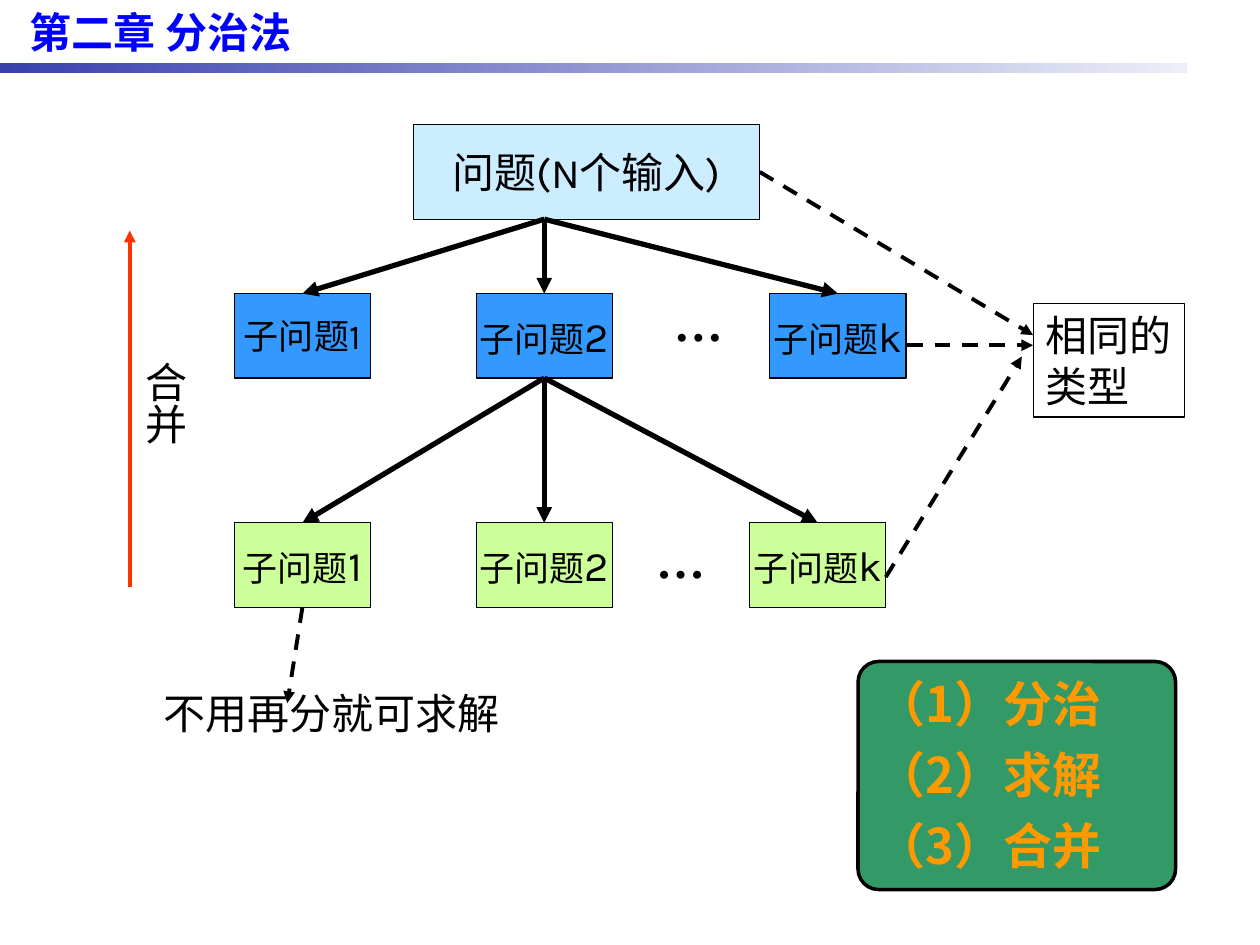
from lxml import etree
from pptx import Presentation
from pptx import util as u
from pptx.dml.color import RGBColor
from pptx.enum import dml, shapes, text
from pptx.oxml.ns import qn

BLACK = RGBColor(0x00, 0x00, 0x00)
TITLE_BLUE = RGBColor(0x00, 0x00, 0xFF)
BAR_START = RGBColor(0x38, 0x40, 0xAC)
BAR_END = RGBColor(0xED, 0xEE, 0xF8)
PALE_BLUE = RGBColor(0xCC, 0xEC, 0xFF)
BLUE = RGBColor(0x33, 0x99, 0xFF)
LIME = RGBColor(0xCC, 0xFF, 0x99)
GREEN = RGBColor(0x33, 0x99, 0x66)
ORANGE = RGBColor(0xFF, 0x99, 0x00)
RED = RGBColor(0xFF, 0x33, 0x00)

BODY = "Karla"
SERIF = "Times New Roman"
CHINESE = "Noto Sans CJK SC"
TOP, LEFT, BOTTOM, RIGHT = range(4)
CENTER = text.PP_ALIGN.CENTER


class Diagram:
    """Holds the style and the current slide."""

    def __init__(self, slide):
        self.slide = slide

    def add_text(self, shape, lines, size=24, font=BODY, color=BLACK, bold=False,
                 align=text.PP_ALIGN.LEFT, anchor=text.MSO_ANCHOR.TOP, wrap=False):
        """Each line is a list of runs; a run is its wording or (wording, size)."""
        frame = shape.text_frame
        frame.word_wrap = wrap
        frame.auto_size = text.MSO_AUTO_SIZE.NONE
        frame.vertical_anchor = anchor
        for index, runs in enumerate(lines):
            paragraph = frame.add_paragraph() if index else frame.paragraphs[0]
            paragraph.alignment = align
            for item in runs:
                wording, run_size = item if isinstance(item, tuple) else (item, size)
                run = paragraph.add_run()
                run.text = wording
                run.font.size = u.Pt(run_size)
                run.font.bold = bold
                run.font.color.rgb = color
                run.font.name = font
                properties = run._r.get_or_add_rPr()
                etree.SubElement(properties, qn("a:ea")).set("typeface", CHINESE)
        return shape

    def title(self, wording, *place):
        shape = self.slide.shapes.title
        shape.left, shape.top, shape.width, shape.height = map(u.Inches, place)
        self.add_text(shape, [[wording]], font=SERIF, color=TITLE_BLUE, bold=True,
                      align=CENTER, wrap=True)

    def shape(self, place, fill=None, weight=0.75, kind=shapes.MSO_SHAPE.RECTANGLE):
        shape = self.slide.shapes.add_shape(kind, *map(u.Inches, place))
        shape.shadow.inherit = False
        if fill is None:
            shape.fill.background()
        else:
            shape.fill.solid()
            shape.fill.fore_color.rgb = fill
        shape.line.color.rgb = BLACK
        shape.line.width = u.Pt(weight)
        return shape

    def bar(self, *place):
        shape = self.shape(place)
        shape.line.fill.background()
        shape.fill.gradient()
        shape.fill.gradient_angle = 0
        for stop, color in zip(shape.fill.gradient_stops, (BAR_START, BAR_END)):
            stop.color.rgb = color

    def box(self, place, fill, runs):
        return self.add_text(self.shape(place, fill), [runs], align=CENTER,
                             anchor=text.MSO_ANCHOR.MIDDLE)

    def label(self, place, wording, **style):
        shape = self.slide.shapes.add_textbox(*map(u.Inches, place))
        return self.add_text(shape, [[wording]], **style)

    def arrow(self, start, end, color=BLACK, weight=2.25, dashed=False):
        """Each end is an (x, y) point or a (shape, side) joint."""
        free = [isinstance(place[0], (int, float)) for place in (start, end)]
        points = [place if is_free else (0, 0)
                  for place, is_free in zip((start, end), free)]
        connector = self.slide.shapes.add_connector(
            shapes.MSO_CONNECTOR.STRAIGHT,
            *(u.Inches(value) for point in points for value in point))
        if not free[0]:
            connector.begin_connect(*start)
        if not free[1]:
            connector.end_connect(*end)
        connector.line.color.rgb = color
        connector.line.width = u.Pt(weight)
        if dashed:
            connector.line.dash_style = dml.MSO_LINE.DASH
        properties = connector._element.spPr
        line = properties.find(qn("a:ln"))
        etree.SubElement(line, qn("a:tailEnd")).set("type", "triangle")
        etree.SubElement(properties, qn("a:effectLst"))

    def level(self, y, last_x, fill, first_size, origin, dots):
        """A row of subproblems with the arrows that fan out to it."""
        cells = [(1.86, "1", first_size), (3.78, "2", 24), (last_x, "k", 24)]
        row = [self.box((x, y, 1.08, 0.67), fill, [("子问题", 20), (mark, size)])
               for x, mark, size in cells]
        self.label((*dots, 0.59, 0.57), "…", size=28, font=SERIF, bold=True)
        for cell in row:
            self.arrow(origin, (cell, TOP), weight=3)
        return row


def main():
    presentation = Presentation()
    presentation.slide_width = u.Inches(10)
    presentation.slide_height = u.Inches(7.5)
    slide = presentation.slides.add_slide(presentation.slide_layouts[5])
    diagram = Diagram(slide)

    # Heading
    diagram.bar(0, 0.5, 9.42, 0.08)
    diagram.title("第二章 分治法", -0.17, 0, 2.89, 0.5)

    # Problem tree
    problem = diagram.box((3.28, 0.99, 2.75, 0.75), PALE_BLUE, ["问题(N个输入)"])
    upper = diagram.level(2.33, 6.11, BLUE, 20, (4.32, 1.74), (5.25, 2.27))
    lower = diagram.level(4.15, 5.95, LIME, 24, (upper[1], BOTTOM), (5.11, 4.15))

    # Same type
    diagram.add_text(diagram.shape((8.2, 2.41, 1.2, 0.9)), [["相同的"], ["类型"]])
    diagram.arrow((problem, RIGHT), (8.2, 2.66), dashed=True)
    diagram.arrow((7.2, 2.74), (8.2, 2.74), dashed=True)
    diagram.arrow((7.03, 4.58), (8.11, 2.83), dashed=True)

    # Directly solvable
    diagram.label((1.2, 5.41, 2.86, 0.5), "不用再分就可求解")
    diagram.arrow((lower[0], BOTTOM), (2.28, 5.58), dashed=True)

    # Merge direction
    diagram.arrow((1.03, 4.66), (1.03, 1.83), color=RED)
    merge = diagram.label((0.96, 2.77, 0.6, 0.77), "合并")
    frame = merge.text_frame
    frame.margin_left = frame.margin_right = u.Inches(0.05)
    frame.margin_top = frame.margin_bottom = u.Inches(0.1)
    frame._txBody.bodyPr.set("vert", "eaVert")

    # Three steps
    steps = diagram.shape((6.81, 5.25, 2.52, 1.81), GREEN, 2,
                          shapes.MSO_SHAPE.ROUNDED_RECTANGLE)
    steps.adjustments[0] = 0.09
    diagram.add_text(steps, [["（1）分治"], ["（2）求解"], ["（3）合并"]], size=28,
                     font=CHINESE, color=ORANGE, bold=True,
                     align=text.PP_ALIGN.JUSTIFY, wrap=True)
    for index, paragraph in enumerate(steps.text_frame.paragraphs):
        if index:
            paragraph.space_before = u.Pt(7)
        properties = paragraph._p.get_or_add_pPr()
        properties.set("marL", str(u.Inches(0.38)))
        properties.set("indent", str(-u.Inches(0.38)))

    presentation.save("out.pptx")


if __name__ == "__main__":
    main()
